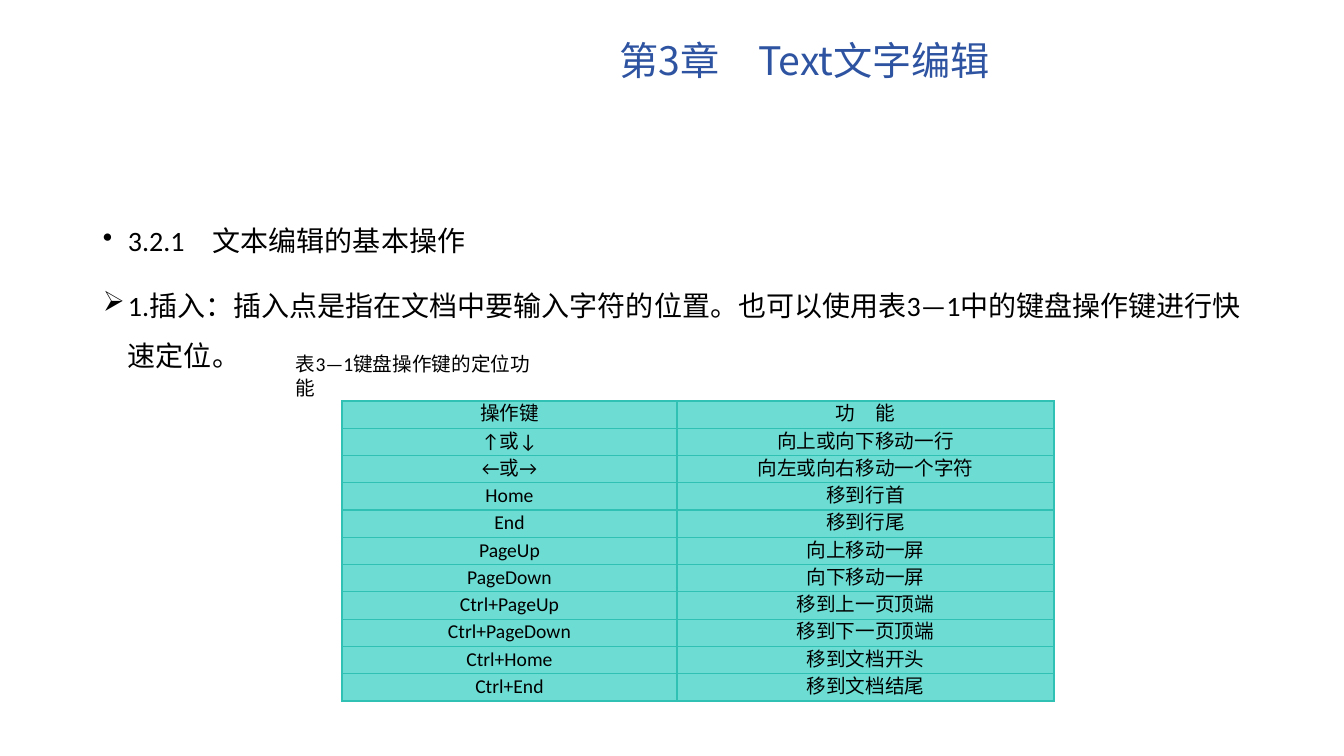
from lxml.etree import SubElement
from pptx import Presentation
from pptx.dml.color import RGBColor
from pptx.enum.text import MSO_ANCHOR as Anchor, PP_ALIGN as Align
from pptx.oxml import parse_xml
from pptx.oxml.ns import nsdecls, qn
from pptx.util import Pt

PX = 914400 / 100.8
COLORS = {"ink": "000000", "title": "2E54A1", "cell": "6DDDD3", "border": "30C0B4"}
BODY_FONT, TITLE_FONT = "Calibri", "Noto Sans CJK JP"

POINTS = [
    ("•", "3.2.1　文本编辑的基本操作"),
    ("➢", "1.插入：插入点是指在文档中要输入字符的位置。"
          "也可以使用表3—1中的键盘操作键进行快速定位。"),
]
KEYS = [
    ("操作键", "功　能"),
    ("↑或↓", "向上或向下移动一行"),
    ("←或→", "向左或向右移动一个字符"),
    ("Home", "移到行首"),
    ("End", "移到行尾"),
    ("PageUp", "向上移动一屏"),
    ("PageDown", "向下移动一屏"),
    ("Ctrl+PageUp", "移到上一页顶端"),
    ("Ctrl+PageDown", "移到下一页顶端"),
    ("Ctrl+Home", "移到文档开头"),
    ("Ctrl+End", "移到文档结尾"),
]


def px(length):
    return round(length * PX)


def color(name):
    return RGBColor.from_string(COLORS[name])


def write(paragraph, words, size, ink="ink", face=BODY_FONT):
    paragraph.text = words
    for run in paragraph.runs:
        run.font.size = Pt(size)
        run.font.color.rgb = color(ink)
        run.font.name = face
        SubElement(run._r.get_or_add_rPr(), qn("a:ea"), typeface=face)


def add_frame(slide, left, top, width, height):
    frame = slide.shapes.add_textbox(px(left), px(top), px(width), px(height)).text_frame
    frame.word_wrap = True
    return frame


def add_title(slide, words):
    frame = add_frame(slide, 86, 30, 914, 126)
    frame.margin_top = px(12)
    heading = frame.paragraphs[0]
    heading.alignment = Align.RIGHT
    heading.line_spacing = 0.9
    write(heading, words, 28, "title", TITLE_FONT)


def add_points(slide):
    frame = add_frame(slide, 93, 202, 1159, 480)
    for index, (mark, words) in enumerate(POINTS):
        point = frame.add_paragraph() if index else frame.paragraphs[0]
        props = point._p.get_or_add_pPr()
        props.set("marL", str(px(25)))
        props.set("indent", str(px(-25)))
        SubElement(props, qn("a:buChar"), char=mark)
        point.line_spacing = 1.5
        if index:
            point.space_before = Pt(10)
        write(point, words, 20)


def add_borders(cell):
    props = cell._tc.get_or_add_tcPr()
    for index, side in enumerate(("lnL", "lnR", "lnT", "lnB")):
        props.insert(index, parse_xml(
            f'<a:{side} {nsdecls("a")} w="{Pt(1)}"><a:solidFill>'
            f'<a:srgbClr val="{COLORS["border"]}"/></a:solidFill></a:{side}>'))


def fill_cell(cell, words):
    cell.fill.solid()
    cell.fill.fore_color.rgb = color("cell")
    add_borders(cell)
    cell.vertical_anchor = Anchor.MIDDLE
    cell.margin_left = cell.margin_right = cell.margin_top = cell.margin_bottom = 0
    line = cell.text_frame.paragraphs[0]
    line.alignment = Align.CENTER
    line.line_spacing = Pt(16.1)
    write(line, words, 14)


def add_key_table(slide):
    widths, height = (335, 377), px(300)
    key_table = slide.shapes.add_table(
        len(KEYS), len(widths), px(342), px(401), px(sum(widths)), height).table
    for column, width in zip(key_table.columns, widths):
        column.width = px(width)
    for row, entries in zip(key_table.rows, KEYS):
        row.height = height // len(KEYS)
        for cell, words in zip(row.cells, entries):
            fill_cell(cell, words)


def add_caption(slide, words):
    write(add_frame(slide, 286, 347, 273, 34).paragraphs[0], words, 14)


def main():
    deck = Presentation()
    deck.slide_width, deck.slide_height = px(1344), px(756)
    slide = deck.slides.add_slide(deck.slide_layouts[6])

    # Chapter heading and text
    add_points(slide)
    add_title(slide, "第3章　Text文字编辑")

    # Keyboard table with its caption
    add_key_table(slide)
    add_caption(slide, "表3—1键盘操作键的定位功能")

    deck.save("out.pptx")


if __name__ == "__main__":
    main()
